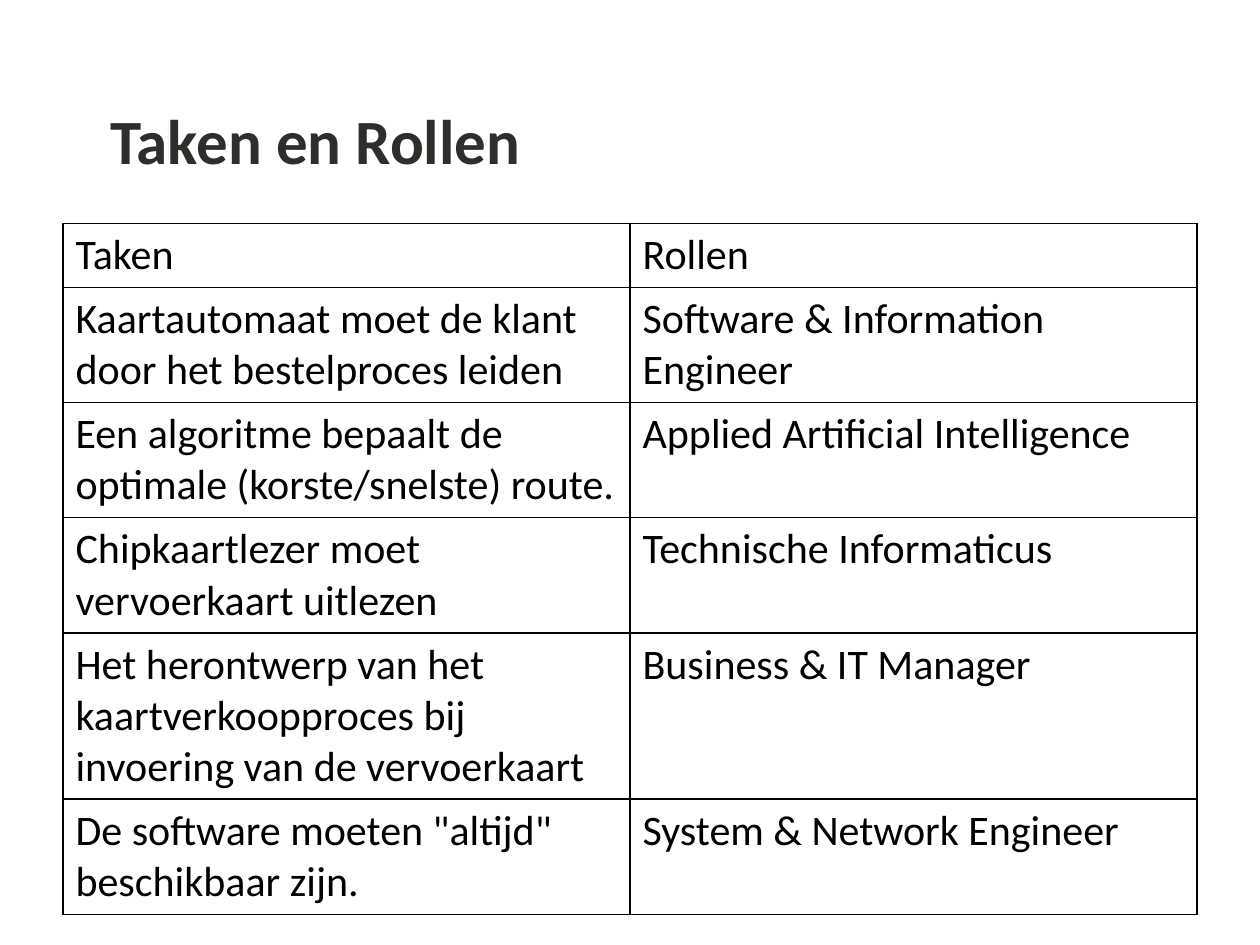
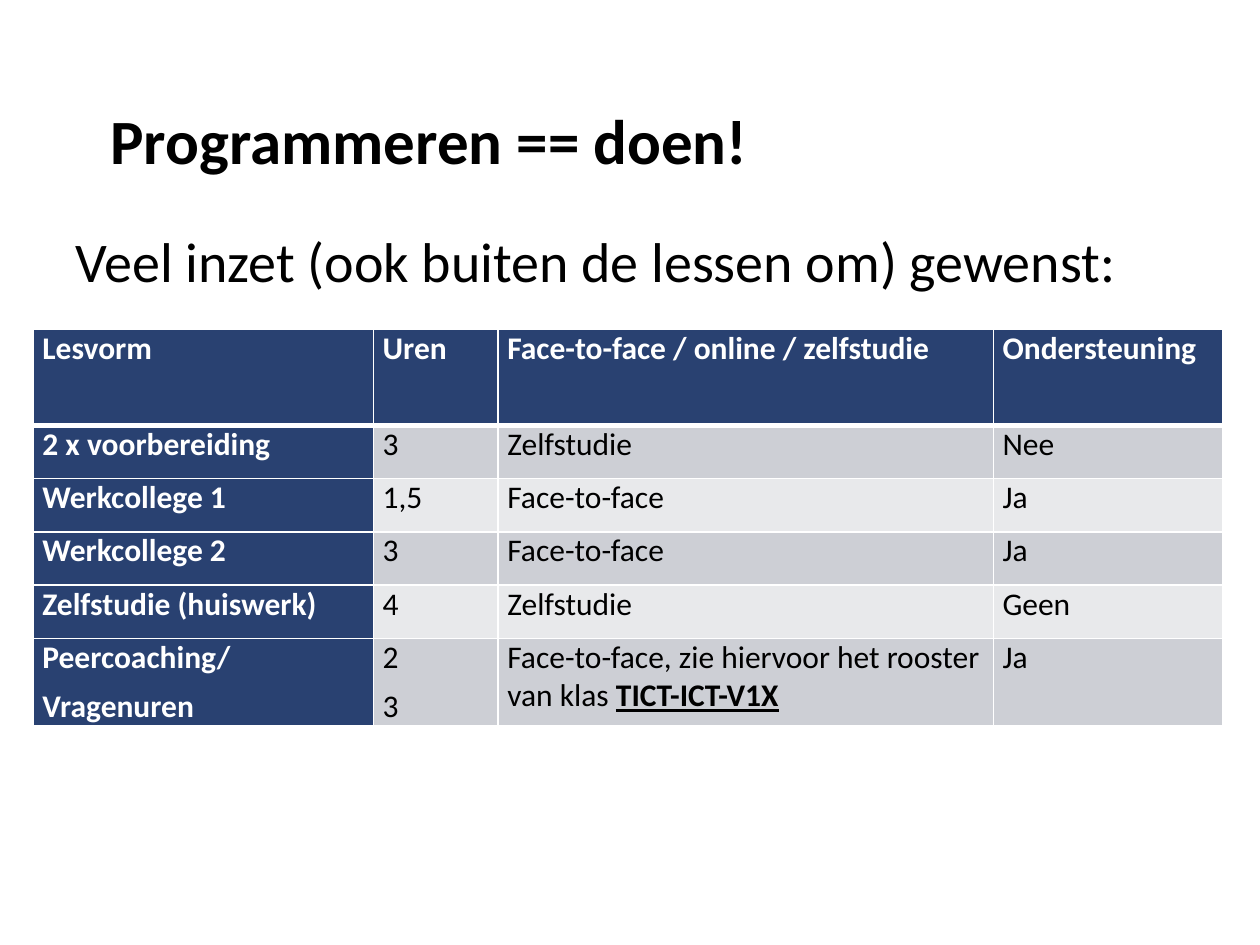
from lxml.etree import SubElement
from pptx import Presentation
from pptx.dml.color import RGBColor as RGB
from pptx.enum.text import MSO_ANCHOR as Anchor
from pptx.oxml.ns import qn
from pptx.util import Pt

FONT = "Calibri"
COLORS = {"black": "000000", "white": "FFFFFF", "title": "2D2F2B",
          "navy": "294171", "dark_band": "CDCFD5", "light_band": "E8E9EB"}
TASKS = [
    ("Taken", "Rollen"),
    ("Kaartautomaat moet de klant door het bestelproces leiden",
     "Software & Information Engineer"),
    ("Een algoritme bepaalt de optimale (korste/snelste) route.",
     "Applied Artificial Intelligence"),
    ("Chipkaartlezer moet vervoerkaart uitlezen", "Technische Informaticus"),
    ("Het herontwerp van het kaartverkoopproces bij invoering van de vervoerkaart",
     "Business & IT Manager"),
    ('De software moeten "altijd" beschikbaar zijn.', "System & Network Engineer"),
]
LESSONS = [
    ("Lesvorm", "Uren", "Face-to-face / online / zelfstudie", "Ondersteuning"),
    ("2 x voorbereiding", "3", "Zelfstudie", "Nee"),
    ("Werkcollege 1", "1,5", "Face-to-face", "Ja"),
    ("Werkcollege 2", "3", "Face-to-face", "Ja"),
    ("Zelfstudie (huiswerk)", "4", "Zelfstudie", "Geen"),
    ("Peercoaching/\nVragenuren", "2\n3",
     "Face-to-face, zie hiervoor het rooster van klas ", "Ja"),
]
CLASS_CODE = "TICT-ICT-V1X"


def write(tf, text, size, color="black", bold=False, after=0):
    """Fill a text frame with one paragraph per line of text."""
    tf.word_wrap = True
    for i, line in enumerate(text.split("\n")):
        p = tf.add_paragraph() if i else tf.paragraphs[0]
        p.space_after = Pt(after)
        p.font.name, p.font.size, p.font.bold = FONT, Pt(size), bold
        p.font.color.rgb = RGB.from_string(COLORS[color])
        p.add_run().text = line


def add_text(s, box, text, size, color="black", bold=False):
    """Add a text box and return its text frame."""
    tf = s.shapes.add_textbox(*map(Pt, box)).text_frame
    write(tf, text, size, color, bold)
    return tf


def add_title(s, text, color):
    """Add the slide title in the lower part of the title area."""
    tf = add_text(s, (56, 0, 612, 116), text, 36, color, True)
    tf.vertical_anchor = Anchor.MIDDLE
    tf.margin_top = Pt(46.5)


def add_grid(s, left, top, widths, heights):
    """Add a table without banding and return it."""
    tbl = s.shapes.add_table(len(heights), len(widths), Pt(left), Pt(top),
                             Pt(sum(widths)), Pt(sum(heights))).table
    tbl.first_row = tbl.horz_banding = False
    for col, width in zip(tbl.columns, widths):
        col.width = Pt(width)
    for row, height in zip(tbl.rows, heights):
        row.height = Pt(height)
    return tbl


def set_borders(cell, color, top=1, bottom=1):
    """Draw the four borders of a cell."""
    tc_pr = cell._tc.get_or_add_tcPr()
    for side, width in (("L", 1), ("R", 1), ("T", top), ("B", bottom)):
        ln = SubElement(tc_pr, qn(f"a:ln{side}"), w=str(Pt(width)))
        fill = SubElement(ln, qn("a:solidFill"))
        SubElement(fill, qn("a:srgbClr"), val=COLORS[color])


def add_task_table(s):
    """Add the plain table of tasks and roles."""
    tbl = add_grid(s, 36, 127.75, [324] * 2, [36.5, 65.8, 65.8, 65.8, 95.1, 65.8])
    for r, texts in enumerate(TASKS):
        for c, text in enumerate(texts):
            cell = tbl.cell(r, c)
            set_borders(cell, "black")
            cell.fill.background()
            write(cell.text_frame, text, 24)


def add_lesson_table(s):
    """Add the banded table of lesson types and hours."""
    tbl = add_grid(s, 19, 188, [194.4, 71.3, 283, 131], [55] + [30.5] * 4 + [50])
    for r, texts in enumerate(LESSONS):
        band = "dark_band" if r % 2 else "light_band"
        for c, text in enumerate(texts):
            cell = tbl.cell(r, c)
            head = r == 0 or c == 0
            set_borders(cell, "white", 3 if r == 1 else 1, 3 if r == 0 else 1)
            cell.fill.solid()
            cell.fill.fore_color.rgb = RGB.from_string(COLORS["navy" if head else band])
            cell.margin_left = cell.margin_right = Pt(5.25)
            cell.margin_top = cell.margin_bottom = 0
            write(cell.text_frame, text, 18, "white" if head else "black", head, 6)
    r = tbl.cell(5, 2).text_frame.paragraphs[0].add_run()
    r.text = CLASS_CODE
    r.font.bold = r.font.underline = True


def main():
    """Build both slides and save the presentation."""
    prs = Presentation()
    prs.slide_width, prs.slide_height = Pt(720), Pt(540)
    roles, lessons = (prs.slides.add_slide(prs.slide_layouts[6]) for _ in range(2))

    add_title(roles, "Taken en Rollen", "title")
    add_task_table(roles)

    add_title(lessons, "Programmeren == doen!", "black")
    add_text(lessons, (36, 126, 648, 42),
             "Veel inzet (ook buiten de lessen om) gewenst:", 32)
    add_lesson_table(lessons)

    prs.save("out.pptx")


if __name__ == "__main__":
    main()
